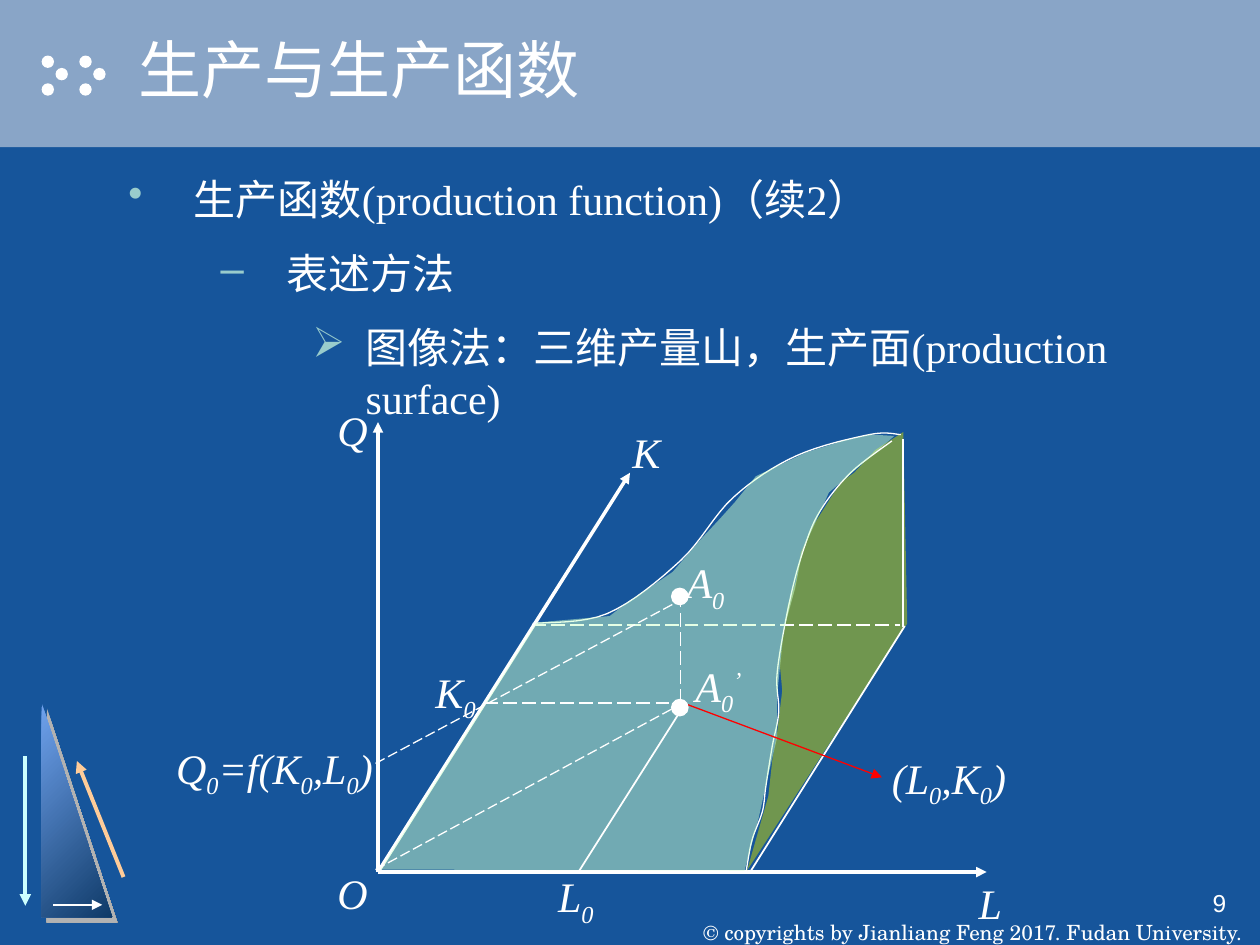
from collections import namedtuple
from dataclasses import dataclass
from itertools import groupby

from lxml import etree
from pptx import Presentation
from pptx.dml.color import RGBColor
from pptx.enum.dml import MSO_LINE
from pptx.enum.shapes import MSO_CONNECTOR, MSO_SHAPE
from pptx.enum.text import MSO_ANCHOR, PP_ALIGN
from pptx.oxml.ns import qn
from pptx.util import Cm, Pt

RECTANGLE, OVAL, TRIANGLE = MSO_SHAPE.RECTANGLE, MSO_SHAPE.OVAL, MSO_SHAPE.RIGHT_TRIANGLE
STRAIGHT, LONG_DASH = MSO_CONNECTOR.STRAIGHT, MSO_LINE.LONG_DASH
LEFT, CENTER, RIGHT = PP_ALIGN.LEFT, PP_ALIGN.CENTER, PP_ALIGN.RIGHT
TOP, MIDDLE, BOTTOM = MSO_ANCHOR.TOP, MSO_ANCHOR.MIDDLE, MSO_ANCHOR.BOTTOM

Box = namedtuple("Box", "left top width height")  # centimetres


@dataclass(frozen=True)
class Theme:
    background: str = "16559B"
    band: str = "89A5C7"
    white: str = "FFFFFF"
    bullet: str = "99CCCC"
    mint: str = "CCFFFF"
    peach: str = "FFCC99"
    red: str = "FF0000"
    surface: str = "CCFFCC"
    side: str = "CAD704"
    light_blue: str = "6FA2ED"
    dark_blue: str = "0F3A68"
    grey: str = "B2B2B2"
    black: str = "000000"
    sans: str = "Arial"
    serif: str = "Times New Roman"
    school: str = "TeX Gyre Schola"
    title_size: int = 36
    body_size: int = 24
    number_size: int = 14
    footer_size: int = 12


THEME = Theme()


def rgb(value):
    return RGBColor.from_string(value)


def inside(box, left, top, width, height):
    return Box(box.left + left, box.top + top, width, height)


def add_shadow(effects, color, distance):
    shadow = etree.SubElement(effects, qn("a:outerShdw"), dist=str(Pt(distance)), dir="2700000")
    etree.SubElement(shadow, qn("a:srgbClr"), val=color)


def add_plain_shape(slide, kind, box, color):
    shape = slide.shapes.add_shape(kind, *map(Cm, box))
    shape.shadow.inherit = False
    shape.fill.solid()
    shape.fill.fore_color.rgb = rgb(color)
    shape.line.fill.background()
    return shape


def add_line(slide, box, start, end, width=1, color=THEME.white, dashed=False, arrow=False):
    points = [Cm(value) for x, y in (start, end) for value in (box.left + x, box.top + y)]
    connector = slide.shapes.add_connector(STRAIGHT, *points)
    connector.line.width = Pt(width)
    connector.line.color.rgb = rgb(color)
    if dashed:
        connector.line.dash_style = LONG_DASH
    if arrow:
        etree.SubElement(connector.line._get_or_add_ln(), qn("a:tailEnd"), type="triangle")
    etree.SubElement(connector._element.spPr, qn("a:effectLst"))


def add_outline(slide, box, points, closed):
    corners = [(Cm(box.left + x), Cm(box.top + y)) for x, y in points]
    builder = slide.shapes.build_freeform(*corners[0])
    builder.add_line_segments(corners[1:], close=closed)
    shape = builder.convert_to_shape()
    shape.shadow.inherit = False
    return shape


def add_face(slide, box, points, color):
    shape = add_outline(slide, box, points, True)
    shape.fill.solid()
    shape.fill.fore_color.rgb = rgb(color)
    shape.line.fill.background()
    tint = shape._element.spPr.find(qn("a:solidFill"))[0]
    etree.SubElement(tint, qn("a:alpha"), val="50000")


def smooth(knots, steps=8):
    """Catmull-Rom spline through the knots."""
    padded = [knots[0], *knots, knots[-1]]
    points = [knots[0]]
    for a, b, c, d in zip(padded, padded[1:], padded[2:], padded[3:]):
        for t in (step / steps for step in range(1, steps + 1)):
            points.append(tuple(
                q + t * ((r - p) + t * ((2 * p - 5 * q + 4 * r - s) + t * (3 * q - p - 3 * r + s))) / 2
                for p, q, r, s in zip(a, b, c, d)))
    return points


def add_curve(slide, box, knots):
    shape = add_outline(slide, box, smooth(knots), False)
    shape.fill.background()
    shape.line.color.rgb = rgb(THEME.white)
    shape.line.width = Pt(0.75)


def format_run(run, size, font):
    run.font.size, run.font.name = Pt(size), font
    run.font.color.rgb = rgb(THEME.white)


def add_text(slide, box, text, size, font, align=LEFT, anchor=TOP, wrap=True):
    frame = slide.shapes.add_textbox(*map(Cm, box)).text_frame
    frame.word_wrap, frame.vertical_anchor = wrap, anchor
    frame.text = text
    for paragraph in frame.paragraphs:
        paragraph.alignment = align
        for run in paragraph.runs:
            format_run(run, size, font)
    return frame


def add_symbol(slide, box, text, wrap=True):
    """Italic label: digits become subscripts, the prime a superscript."""
    frame = add_text(slide, box, "", THEME.body_size, THEME.serif, wrap=wrap)
    paragraph = frame.paragraphs[0]
    paragraph.line_spacing = 1.2
    for shift, letters in groupby(text, lambda c: -25000 if c.isdigit() else 30000 if c == "’" else 0):
        run = paragraph.add_run()
        run.text = "".join(letters)
        format_run(run, THEME.body_size, THEME.serif)
        run.font.italic = True
        if shift:
            run._r.get_or_add_rPr().set("baseline", str(shift))


def add_header(slide, box):
    add_plain_shape(slide, RECTANGLE, box, THEME.band)
    for column in (0.84, 1.6):
        for x, y in ((0, 1.12), (0.28, 1.37), (0, 1.68)):
            add_plain_shape(slide, OVAL, inside(box, column + x, y, 0.25, 0.25), THEME.white)
    frame = add_text(slide, inside(box, 2.54, 0, 22.86, 2.74), "生产与生产函数",
                     THEME.title_size, THEME.sans, anchor=MIDDLE)
    properties = frame.paragraphs[0].runs[0]._r.get_or_add_rPr()
    effects = etree.Element(qn("a:effectLst"))
    properties.find(qn("a:solidFill")).addnext(effects)
    add_shadow(effects, THEME.black, 1.5)


def add_ornament(slide, box):
    triangle = add_plain_shape(slide, TRIANGLE, inside(box, 0.33, 0, 1.42, 4.32), THEME.light_blue)
    triangle.fill.gradient()
    triangle.fill.gradient_angle = 315
    for stop, color, place in zip(triangle.fill.gradient_stops, (THEME.light_blue, THEME.dark_blue), (0, 1)):
        stop.color.rgb, stop.position = rgb(color), place
    add_shadow(triangle._element.spPr.find(qn("a:effectLst")), THEME.grey, 4.2)
    add_line(slide, box, (0, 1.07), (0, 4.09), 2.25, THEME.mint, arrow=True)
    add_line(slide, box, (1.98, 3.51), (1.04, 1.17), 2.25, THEME.peach, arrow=True)
    add_line(slide, box, (0.56, 4.07), (1.55, 4.07), 1.5, arrow=True)


def add_footer(slide, box):
    frame = add_text(slide, inside(box, 13.8, 0, 11.63, 1.27),
                     "© copyrights by Jianliang Feng 2017. Fudan University.",
                     THEME.footer_size, THEME.school, CENTER, BOTTOM, wrap=False)
    frame.margin_top = frame.margin_bottom = 0
    add_text(slide, inside(box, 19.69, 0, 5.28, 1.27), "9", THEME.number_size, THEME.sans, RIGHT)


def add_outline_text(slide, box):
    levels = (("生产函数(production function)（续2）", "•", 1.32, 1.32),
              ("表述方法", "–", 3.18, 1.32),
              ("图像法：三维产量山，生产面(production surface)", "➢", 4.78, 1.07))
    frame = add_text(slide, box, "\n".join(level[0] for level in levels), THEME.body_size, THEME.serif)
    for index, (paragraph, (_, mark, margin, hanging)) in enumerate(zip(frame.paragraphs, levels)):
        properties = paragraph._p.get_or_add_pPr()
        properties.set("marL", str(Cm(margin)))
        properties.set("indent", str(-Cm(hanging)))
        color = etree.SubElement(properties, qn("a:buClr"))
        etree.SubElement(color, qn("a:srgbClr"), val=THEME.bullet)
        etree.SubElement(properties, qn("a:buChar"), char=mark)
        paragraph.level = index
        if index:
            paragraph.space_before = Pt(13.5)


def add_production_surface(slide, box):
    # Axes
    origin = (4.32, 9.78)
    for tip in ((16.59, 9.78), (4.32, 0.71), (9.4, 1.73)):
        add_line(slide, box, origin, tip, 2, arrow=True)

    # Side face, its edges and the top surface
    add_face(slide, box, (
        (14.35, 1.27), (13.92, 1.73), (13.64, 1.93), (13.39, 2.33), (13.11, 2.77), (12.85, 3.33),
        (12.75, 3.91), (12.58, 4.42), (12.47, 5.15), (12.42, 5.59), (12.47, 6.12), (12.42, 6.53),
        (12.37, 6.96), (12.27, 7.52), (12.19, 8.25), (11.76, 9.75), (14.99, 4.77), (14.91, 0.91)), THEME.side)
    add_curve(slide, box, (
        (11.74, 9.78), (11.86, 9.14), (12.07, 8.56), (12.14, 8.05), (12.27, 7.24), (12.4, 6.55),
        (12.37, 5.74), (12.63, 4.27), (12.91, 3.25), (13.24, 2.49), (13.85, 1.73), (14.68, 1.09)))
    add_line(slide, box, (7.42, 4.8), (14.84, 4.8), dashed=True)
    add_curve(slide, box, ((7.44, 4.77), (8.94, 4.57), (10.42, 3.5), (11.48, 2.23),
                           (12.75, 1.39), (14.23, 0.96), (14.86, 0.96)))
    add_line(slide, box, (14.94, 4.82), (11.84, 9.75))
    add_line(slide, box, (14.91, 4.85), (14.91, 1.04))
    add_face(slide, box, (
        (14.73, 0.99), (14.25, 0.96), (13.69, 1.09), (12.96, 1.32), (11.94, 1.8), (11.51, 2.33),
        (11.23, 2.64), (10.85, 3.05), (10.26, 3.73), (9.25, 4.42), (8.99, 4.62), (7.52, 4.75),
        (4.37, 9.73), (11.71, 9.75), (11.99, 8.71), (12.17, 7.9), (12.37, 7.06), (12.37, 6.2),
        (12.5, 4.9), (12.73, 4.06), (12.88, 3.3), (13.41, 2.13)), THEME.surface)

    # Guides through the input point and the output point
    base, peak = (10.47, 6.37), (10.47, 4.27)
    add_line(slide, box, (4.27, 9.73), base, 0.75, dashed=True)
    add_line(slide, box, (4.27, 7.59), peak, 0.75, dashed=True)
    add_line(slide, box, (10.42, 6.37), (10.42, 4.27), dashed=True)
    add_line(slide, box, (10.47, 6.45), (8.36, 9.78))
    add_line(slide, box, (6.45, 6.37), base, dashed=True)
    add_line(slide, box, base, (14.48, 7.87), 0.75, THEME.red, arrow=True)
    for top in (4.06, 6.3):
        dot = add_plain_shape(slide, OVAL, inside(box, 10.24, top, 0.33, 0.33), THEME.white)
        dot.line.color.rgb, dot.line.width = rgb(THEME.white), Pt(0.75)

    # Labels
    for text, left, top, width in (
            ("O", 3.25, 9.35, 1.07), ("L", 16.18, 9.57, 1.07), ("Q", 3.25, 0.02, 1.07),
            ("K", 9.2, 0.46, 1.07), ("Q0=f(K0,L0)", 0, 6.81, 4.47), ("A0", 10.29, 3.07, 1.47),
            ("(L0,K0)", 14.43, 7.01, 3.38), ("A0’", 10.47, 5.15, 1.7),
            ("L0", 7.7, 9.4, 1.47), ("K0", 5.23, 5.28, 1.47)):
        height = 1.47 if len(text) == 1 else 1.65
        add_symbol(slide, inside(box, left, top, width, height), text, wrap="=" not in text)


def main():
    presentation = Presentation()
    presentation.slide_width, presentation.slide_height = Cm(25.4), Cm(19.05)
    slide = presentation.slides.add_slide(presentation.slide_layouts[6])
    slide.background.fill.solid()
    slide.background.fill.fore_color.rgb = rgb(THEME.background)
    add_header(slide, Box(0, 0, 25.4, 2.97))
    add_ornament(slide, Box(0.51, 14.17, 1.98, 4.32))
    add_footer(slide, Box(0, 17.78, 25.4, 1.27))
    add_outline_text(slide, Box(2.34, 3.38, 20.75, 12.7))
    add_production_surface(slide, Box(3.3, 7.8, 17.81, 11.05))
    presentation.save("out.pptx")


if __name__ == "__main__":
    main()
